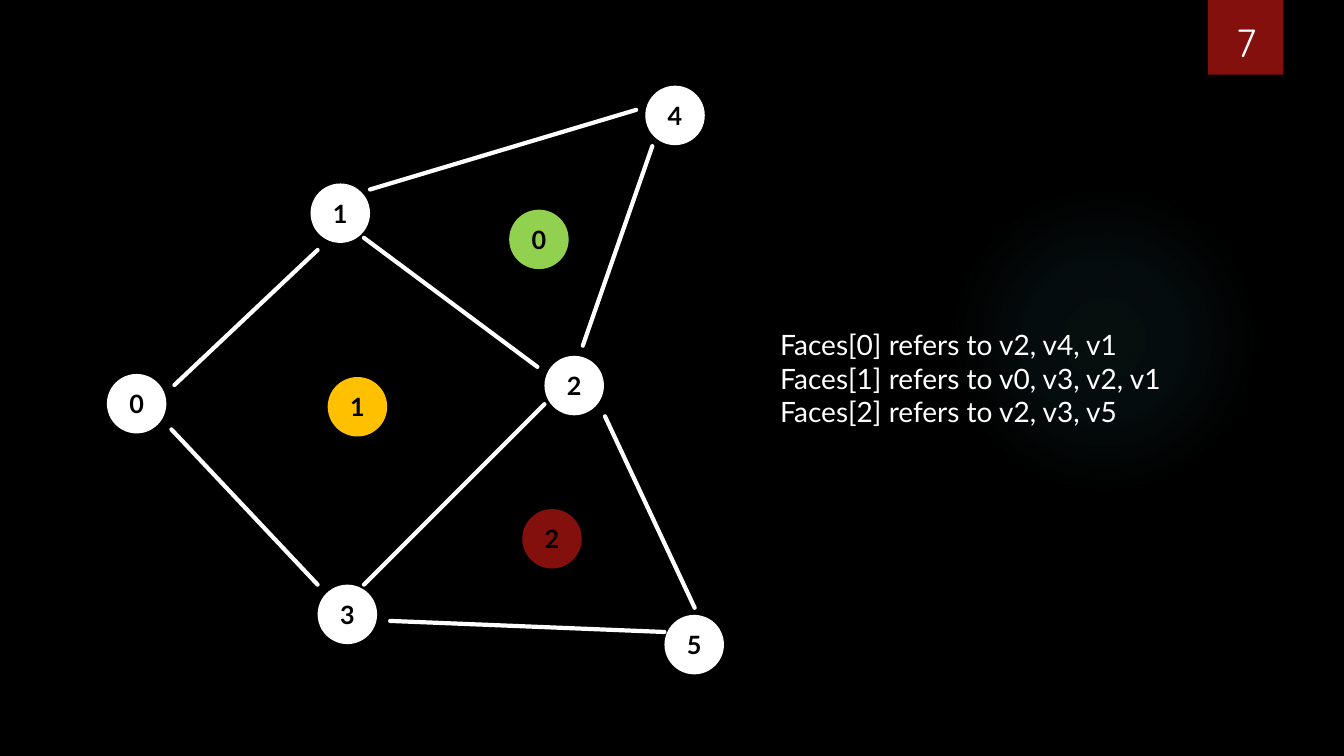
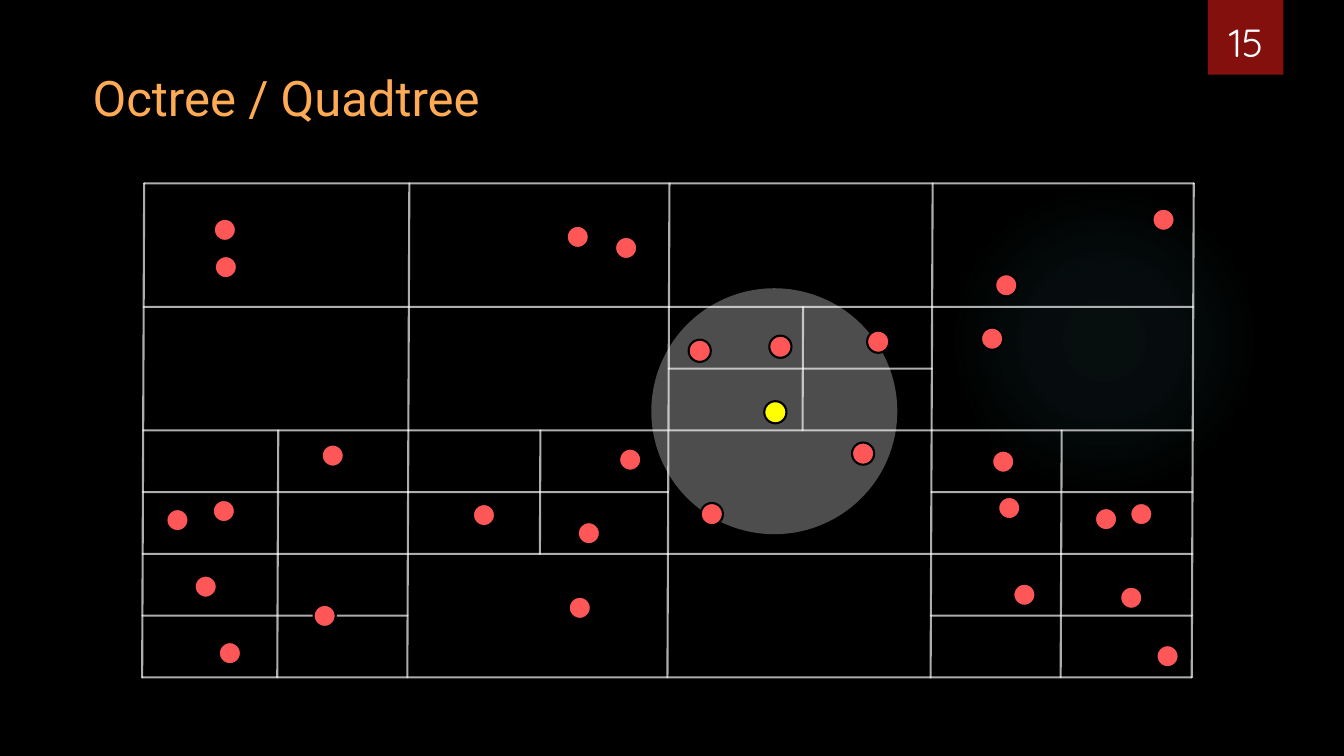
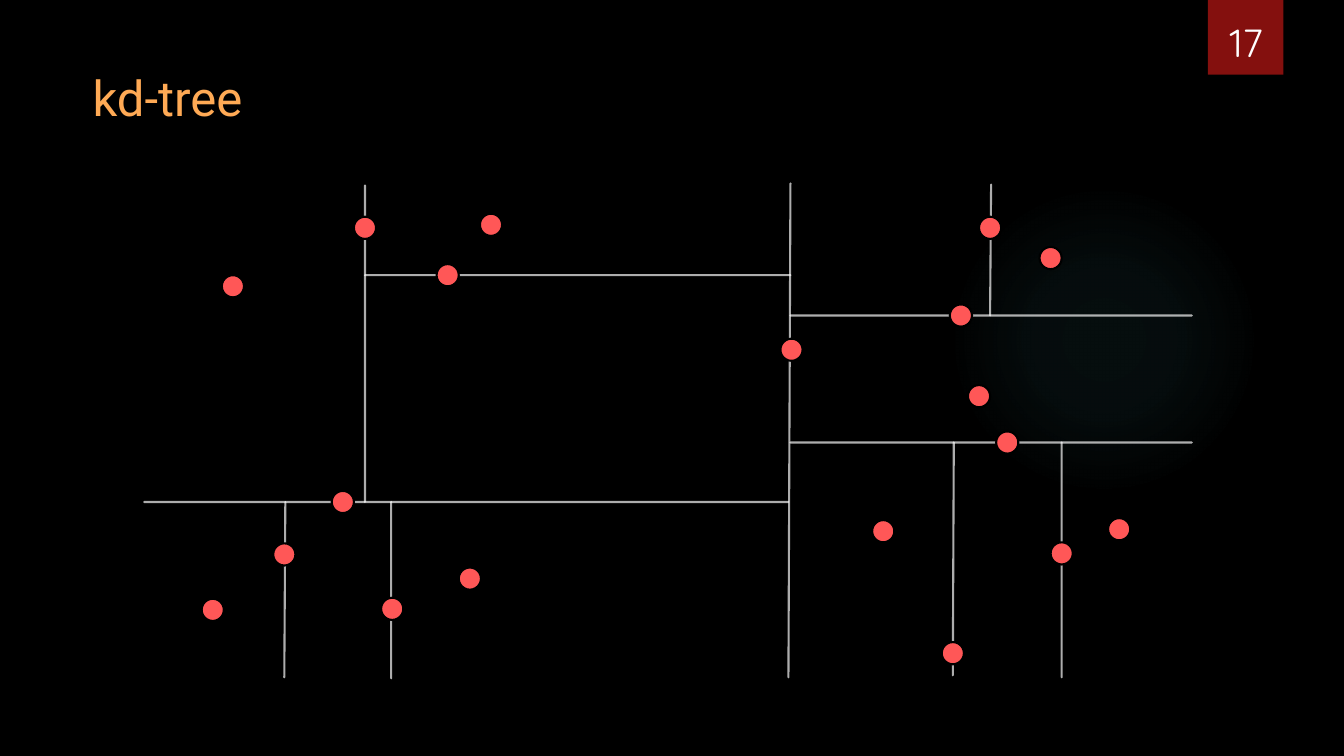
from pptx import Presentation
from pptx.dml.color import RGBColor
from pptx.enum.shapes import MSO_CONNECTOR, MSO_SHAPE
from pptx.enum.text import MSO_ANCHOR, PP_ALIGN
from pptx.oxml import parse_xml
from pptx.oxml.ns import nsdecls, qn
from pptx.util import Inches, Pt
from lxml.etree import SubElement

SLIDE_W, SLIDE_H = 13.33, 7.5
COLORS = {
    "black": "000000", "white": "FFFFFF", "red": "84100E", "title": "FFAA55",
    "glow": "50B9C1", "dot": "FF5757", "yellow": "FFFF00",
    "amber": "FFC000", "green": "92D050",
}
NODE, DOT = 0.59, 0.22

# Mesh: label, left, top, colour
VERTICES = [
    ("1", 3.08, 1.82, "white"), ("0", 1.06, 3.71, "white"),
    ("2", 5.4, 3.53, "white"), ("3", 3.15, 5.8, "white"),
    ("4", 6.4, 0.85, "white"), ("5", 6.59, 6.1, "white"),
]
FACES = [
    ("1", 3.25, 3.74, "amber"), ("0", 5.05, 2.08, "green"),
    ("2", 5.18, 5.05, "red"),
]
EDGES = [
    (3.61, 5.8, 5.4, 4.01), (3.87, 6.16, 6.59, 6.27),
    (6, 4.13, 6.89, 6.03), (5.33, 3.64, 3.61, 2.36),
    (3.15, 2.48, 1.73, 3.82), (1.7, 4.26, 3.15, 5.8),
    (5.78, 3.43, 6.47, 1.45), (3.67, 1.88, 6.31, 1.09),
]
FACE_NOTES = [
    "Faces[0] refers to v2, v4, v1",
    "Faces[1] refers to v0, v3, v2, v1",
    "Faces[2] refers to v2, v3, v5",
]

# Quadtree: eight columns and rows; lines run from (column, row) to (column, row)
COLUMNS = [1.43, 2.77, 4.06, 5.37, 6.64, 7.97, 9.25, 10.54, 11.84]
GRID_TOP, GRID_BOTTOM, GRID_ROWS = 1.82, 6.72, 8
GRID_LEAN = 0.02
MAIN_SPLITS = [
    (4, 6, 8, 6), (6, 8, 6, 4), (0, 4, 8, 4), (4, 8, 4, 0),
    (0, 0, 8, 0), (0, 8, 8, 8), (0, 8, 0, 0), (8, 8, 8, 0),
]
SUB_SPLITS = [
    (4, 2, 8, 2), (6, 4, 6, 0), (0, 2, 4, 2), (2, 4, 2, 0),
    (0, 6, 4, 6), (2, 8, 2, 4), (6, 5, 8, 5), (7, 6, 7, 4),
    (6, 7, 8, 7), (7, 8, 7, 6), (2, 5, 4, 5), (3, 6, 3, 4),
    (0, 5, 2, 5), (1, 6, 1, 4), (0, 7, 2, 7), (1, 8, 1, 6),
    (4, 3, 6, 3), (5, 4, 5, 2),
]
QUADTREE_DOTS = [
    (2.12, 2.17), (5.62, 2.24), (2.13, 2.54), (4.69, 5), (6.1, 2.35),
    (7.63, 3.33), (5.73, 5.18), (2.17, 6.37), (8.45, 4.39), (8.6, 3.28),
    (9.87, 2.72), (11.43, 2.07), (9.73, 3.25), (5.64, 5.92), (11.47, 6.4),
    (3.19, 4.41), (1.93, 5.71), (3.11, 6), (2.11, 4.96), (1.65, 5.05),
    (6.83, 3.37), (6.95, 4.99), (6.14, 4.45), (9.9, 4.93), (10.05, 5.79),
    (10.86, 5.04), (11.11, 5.82), (11.21, 4.99), (9.84, 4.47),
]
QUERY_DOT = (7.58, 3.98)
QUERY_RANGE = (6.46, 2.86, 2.44, 2.44)

KD_SPLITS = [
    (3.62, 2.73, 7.84, 2.73), (10.53, 6.72, 10.53, 4.39),
    (3.88, 6.73, 3.88, 4.98), (9.82, 3.13, 9.83, 1.83),
    (1.43, 4.98, 7.82, 4.98), (2.82, 6.72, 2.83, 4.98),
    (9.45, 6.7, 9.46, 4.39), (7.84, 3.13, 11.82, 3.13),
    (3.62, 4.98, 3.62, 1.84), (7.84, 4.39, 11.82, 4.39),
    (7.82, 6.72, 7.84, 1.82),
]
KD_DOTS = [
    (2.2, 2.73), (4.76, 2.12), (4.33, 2.62), (10.31, 2.45), (8.65, 5.16),
    (9.71, 2.15), (9.42, 3.02), (9.6, 3.82), (4.55, 5.63), (2.71, 5.39),
    (3.78, 5.93), (2, 5.94), (3.51, 2.15), (7.74, 3.36), (3.29, 4.87),
    (10.99, 5.14), (9.34, 6.37), (9.88, 4.28), (10.42, 5.38),
]


def rgb(name):
    return RGBColor.from_string(COLORS[name])


def set_alpha(element, percent):
    """Make the solid colours inside an element partly transparent."""
    for color in element.iter(qn("a:srgbClr")):
        SubElement(color, qn("a:alpha")).set("val", str(percent * 1000))


def add_shape(slide, kind, box, fill, outline=None):
    s = slide.shapes.add_shape(kind, *map(Inches, box))
    s.shadow.inherit = False
    s.fill.solid()
    s.fill.fore_color.rgb = rgb(fill)
    if outline:
        s.line.color.rgb = rgb(outline)
        s.line.width = Pt(1.5)
    else:
        s.line.fill.background()
    return s


def write(tf, lines, size, font, color, align=PP_ALIGN.LEFT, bold=False):
    tf.text = "\n".join(lines)
    for p in tf.paragraphs:
        p.alignment = align
        for r in p.runs:
            r.font.size, r.font.name, r.font.bold = Pt(size), font, bold
            r.font.color.rgb = rgb(color)


def add_text(slide, box, lines, size, font, color, align=PP_ALIGN.LEFT,
             anchor=MSO_ANCHOR.TOP):
    tf = slide.shapes.add_textbox(*map(Inches, box)).text_frame
    tf.word_wrap = True
    tf.vertical_anchor = anchor
    write(tf, lines, size, font, color, align)


def add_line(slide, ends, width=1.5, alpha=67):
    c = slide.shapes.add_connector(MSO_CONNECTOR.STRAIGHT, *map(Inches, ends))
    c.line.color.rgb = rgb("white")
    c.line.width = Pt(width)
    sp_pr = c.element.spPr
    sp_pr.find(qn("a:ln")).set("cap", "rnd")
    if alpha < 100:
        set_alpha(sp_pr, alpha)
    SubElement(sp_pr, qn("a:effectLst"))


def add_node(slide, label, left, top, fill):
    s = add_shape(slide, MSO_SHAPE.OVAL, (left, top, NODE, NODE), fill)
    tf = s.text_frame
    tf.vertical_anchor = MSO_ANCHOR.MIDDLE
    tf.word_wrap = False
    write(tf, [label], 18, "Lato", "black", PP_ALIGN.CENTER, bold=True)


def add_dot(slide, left, top, fill="dot"):
    add_shape(slide, MSO_SHAPE.OVAL, (left, top, DOT, DOT), fill, "black")


def add_glow(slide):
    s = add_shape(slide, MSO_SHAPE.OVAL, (9.41, 1.83, 3.08, 3.08), "glow")
    stops = "".join(
        f'<a:gs pos="{pos}000"><a:srgbClr val="{COLORS["glow"]}">'
        f'<a:alpha val="{alpha * 1000}"/></a:srgbClr></a:gs>'
        for pos, alpha in ((0, 7), (36, 6), (69, 0)))
    gradient = parse_xml(
        f'<a:gradFill {nsdecls("a")} rotWithShape="1"><a:gsLst>{stops}</a:gsLst>'
        '<a:path path="circle"><a:fillToRect l="50000" t="50000" r="50000"'
        ' b="50000"/></a:path></a:gradFill>')
    sp_pr = s.element.spPr
    sp_pr.replace(sp_pr.find(qn("a:solidFill")), gradient)


def new_slide(prs, number, title=None):
    slide = prs.slides.add_slide(prs.slide_layouts[6])
    slide.background.fill.solid()
    slide.background.fill.fore_color.rgb = rgb("black")
    add_glow(slide)
    add_shape(slide, MSO_SHAPE.RECTANGLE, (11.98, 0, 0.75, 0.74), "red")
    add_text(slide, (11.9, -0.14, 0.92, 0.84), [str(number)], 28, "Quicksand",
             "white", PP_ALIGN.CENTER, MSO_ANCHOR.BOTTOM)
    if title:
        add_text(slide, (0.82, 0.62, SLIDE_W - 0.82, 0.69), [title], 35,
                 "Roboto", "title")
    return slide


def grid_point(column, row):
    """Position on the quadtree grid, whose columns lean slightly left."""
    share = row / GRID_ROWS
    return (COLUMNS[column] - GRID_LEAN * share,
            GRID_TOP + (GRID_BOTTOM - GRID_TOP) * share)


def add_grid_lines(slide, splits):
    for c0, r0, c1, r1 in splits:
        add_line(slide, grid_point(c0, r0) + grid_point(c1, r1))


def mesh_slide(prs):
    slide = new_slide(prs, 7)
    for vertex in VERTICES:
        add_node(slide, *vertex)
    for edge in EDGES:
        add_line(slide, edge, width=3, alpha=100)
    for face in FACES:
        add_node(slide, *face)
    add_text(slide, (7.64, 3.2, 4.84, 1.45), FACE_NOTES, 20, "Lato", "white")


def quadtree_slide(prs):
    slide = new_slide(prs, 15, "Octree / Quadtree")
    add_grid_lines(slide, MAIN_SPLITS)
    query = add_shape(slide, MSO_SHAPE.OVAL, QUERY_RANGE, "white")
    set_alpha(query.element.spPr, 30)
    add_grid_lines(slide, SUB_SPLITS)
    for dot in QUADTREE_DOTS:
        add_dot(slide, *dot)
    add_dot(slide, *QUERY_DOT, fill="yellow")


def kd_tree_slide(prs):
    slide = new_slide(prs, 17, "kd-tree")
    for split in KD_SPLITS:
        add_line(slide, split)
    for dot in KD_DOTS:
        add_dot(slide, *dot)


def main():
    prs = Presentation()
    prs.slide_width, prs.slide_height = Inches(SLIDE_W), Inches(SLIDE_H)
    mesh_slide(prs)
    quadtree_slide(prs)
    kd_tree_slide(prs)
    prs.save("out.pptx")


if __name__ == "__main__":
    main()
